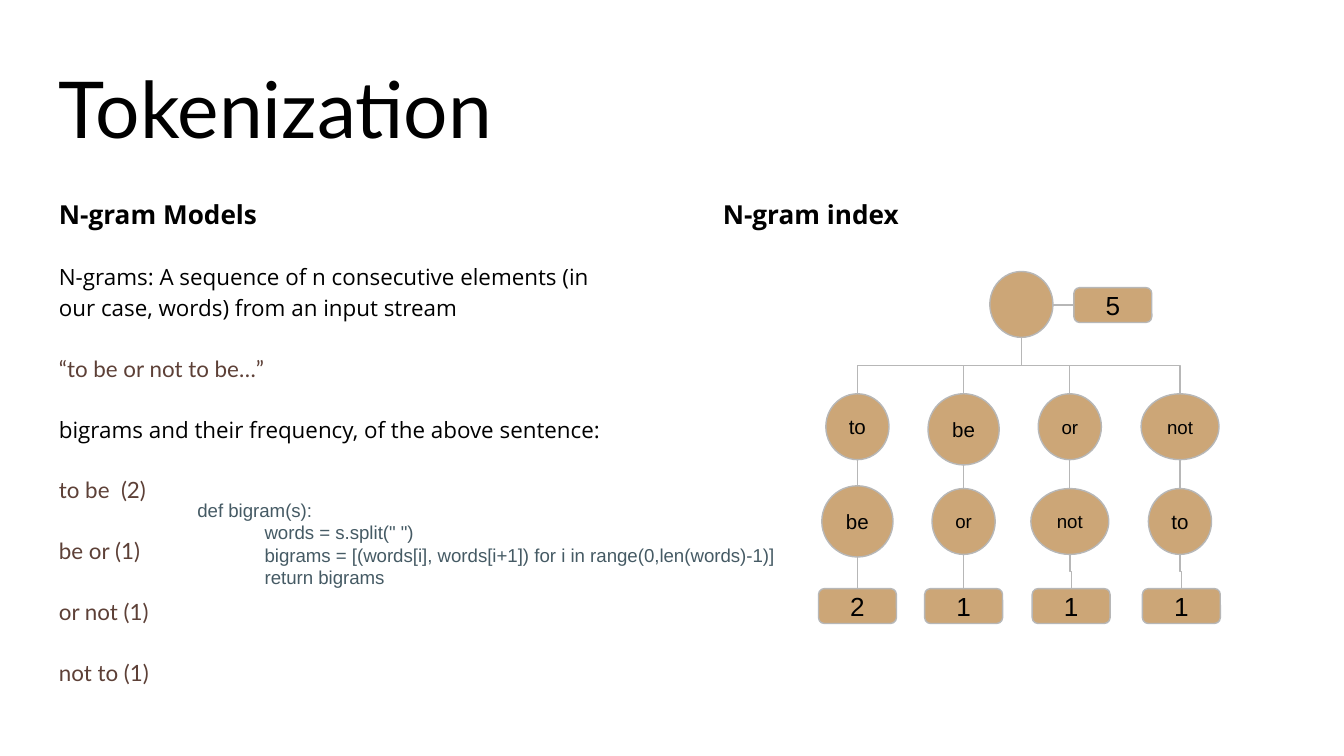
import pptx
import pptx.util
import pptx.dml.color
import pptx.enum.shapes
import pptx.enum.text
import pptx.oxml.ns
from lxml import etree

Inches = pptx.util.Inches
Pt = pptx.util.Pt
RGB = pptx.dml.color.RGBColor
Shape = pptx.enum.shapes.MSO_SHAPE
Link = pptx.enum.shapes.MSO_CONNECTOR
Anchor = pptx.enum.text.MSO_ANCHOR
Align = pptx.enum.text.PP_ALIGN

BLACK = RGB(0x00, 0x00, 0x00)
BROWN = RGB(0x5D, 0x40, 0x37)
SLATE = RGB(0x45, 0x5A, 0x64)
TAN = RGB(0xCC, 0xA6, 0x77)
GRAY = RGB(0xB7, 0xB7, 0xB7)

TITLE = dict(name="Lato", size=Pt(42), color=BLACK)
HEAD = dict(name="Open Sans", size=Pt(14), bold=True, color=BLACK)
BODY = dict(name="Open Sans", size=Pt(12), color=BLACK)
QUOTE = dict(name="Lato", size=Pt(12), color=BROWN)
CODE = dict(name="Arial", size=Pt(10), color=SLATE)
COUNT = dict(name="Arial", size=Pt(14), color=BLACK)


class Deck:
    """Holds the line style and the current slide."""

    edge = GRAY
    width = Pt(0.75)

    def __init__(self, wide):
        self.prs = pptx.Presentation()
        self.prs.slide_width = Inches(wide)
        self.prs.slide_height = Inches(wide * 9 / 16)
        self.slide = self.prs.slides.add_slide(self.prs.slide_layouts[6])

    def style(self, font, form):
        for key, val in form.items():
            if key == "color":
                font.color.rgb = val
            else:
                setattr(font, key, val)

    def frame(self, frame, anchor, wrap=True):
        frame.word_wrap = wrap
        frame.vertical_anchor = anchor
        for side in ("left", "top", "right", "bottom"):
            setattr(frame, "margin_" + side, Inches(0.1))

    def text(self, box, lines, anchor=Anchor.TOP, space=None, gap=0):
        """Each line is (words, format, first-line indent)."""
        frame = self.slide.shapes.add_textbox(*map(Inches, box)).text_frame
        self.frame(frame, anchor)
        for num, (words, form, indent) in enumerate(lines):
            para = frame.paragraphs[0] if num == 0 else frame.add_paragraph()
            para.text = words
            if indent:
                para._p.get_or_add_pPr().set("indent", str(Inches(indent)))
            if space:
                para.line_spacing = space
            if num and gap:
                para.space_before = Pt(gap)
            self.style(para.runs[0].font, form)

    def node(self, kind, mid, top, size, words="", form=COUNT):
        wide, high = size
        node = self.slide.shapes.add_shape(
            kind, Inches(mid - wide / 2), Inches(top), Inches(wide), Inches(high))
        node.shadow.inherit = False
        node.fill.solid()
        node.fill.fore_color.rgb = TAN
        node.line.color.rgb = self.edge
        node.line.width = self.width
        if words:
            self.frame(node.text_frame, Anchor.MIDDLE, wrap=False)
            para = node.text_frame.paragraphs[0]
            para.text = words
            para.alignment = Align.CENTER
            self.style(para.runs[0].font, form)
        return node

    def line(self, kind, start, end):
        line = self.slide.shapes.add_connector(kind, *map(Inches, start + end))
        line.line.color.rgb = self.edge
        line.line.width = self.width
        etree.SubElement(line._element.spPr, pptx.oxml.ns.qn("a:effectLst"))
        return line

    def branch(self, start, end):
        """Elbow that leaves downward: a sideways elbow, turned a quarter."""
        left = end[0] < start[0]
        x, y = (start[0] + end[0]) / 2, (start[1] + end[1]) / 2
        half = (end[1] - start[1]) / 2 * (1 if left else -1)
        rise = abs(end[0] - start[0]) / 2
        line = self.line(Link.ELBOW, (x - half, y - rise), (x + half, y + rise))
        turn = 90 if left else 270
        line._element.spPr.xfrm.set("rot", str(turn * 60000))

    def drop(self, start, end, node):
        """Straight down to the top of a node, or an elbow if it is offset."""
        if start[0] == end[0]:
            self.line(Link.STRAIGHT, start, end).end_connect(node, 0)
        else:
            self.branch(start, end)


def main():
    deck = Deck(10)

    # Title and headed text
    deck.text((0.34, 0.35, 9.32, 0.9), [("Tokenization", TITLE, 0)], Anchor.BOTTOM)
    deck.text((0.34, 1.34, 4.37, 3.67), [
        ("N-gram Models", HEAD, 0),
        ("N-grams: A sequence of n consecutive elements (in our case, words)"
         " from an input stream", BODY, 0),
        ("“to be or not to be…”", QUOTE, 0),
        ("bigrams and their frequency, of the above sentence:", BODY, 0),
        ("to be  (2)", QUOTE, 0),
        ("be or (1)", QUOTE, 0),
        ("or not (1)", QUOTE, 0),
        ("not to (1)", QUOTE, 0),
    ], space=1.15, gap=16)
    deck.text((5.28, 1.34, 4.37, 0.49), [("N-gram index", HEAD, 0)], space=1.15)

    # Root of the index with its total
    box = (0.58, 0.26)
    root = (7.6, 2.51)
    deck.node(Shape.OVAL, root[0], 2.02, (0.47, 0.49))
    total = deck.node(Shape.ROUNDED_RECTANGLE, 8.28, 2.14, box, "5")
    deck.line(Link.STRAIGHT, (7.83, 2.27), (7.99, 2.27)).end_connect(total, 1)

    # One column per bigram: middle, first word, second word, count, its middle
    sizes = {"to": (0.47, 0.49), "be": (0.53, 0.53),
             "or": (0.47, 0.49), "not": (0.58, 0.49)}
    points = {"to": 11, "be": 11, "or": 10, "not": 10}
    forms = {word: dict(COUNT, size=Pt(pt)) for word, pt in points.items()}
    grams = [(6.38, "to", "be", "2", 6.38), (7.17, "be", "or", "1", 7.17),
             (7.96, "or", "not", "1", 7.97), (8.78, "not", "to", "1", 8.79)]
    top, row, base = 2.93, 3.88, 4.38
    for mid, first, second, count, seat in grams:
        deck.branch(root, (mid, top))
        deck.node(Shape.OVAL, mid, top, sizes[first], first, forms[first])
        high = sizes[second][1]
        low = deck.node(Shape.OVAL, mid, row - high / 2, sizes[second],
                        second, forms[second])
        tally = deck.node(Shape.ROUNDED_RECTANGLE, seat, base, box, count)
        deck.drop((mid, top + sizes[first][1]), (mid, row - high / 2), low)
        deck.drop((mid, row + high / 2), (seat, base), tally)

    # Code
    deck.text((1.37, 3.25, 4.88, 1.59), [
        ("def bigram(s):", CODE, 0),
        ('words = s.split(" ")', CODE, 0.5),
        ("bigrams = [(words[i], words[i+1]) for i in range(0,len(words)-1)]", CODE, 0.5),
        ("return bigrams", CODE, 0.5),
    ], Anchor.MIDDLE)

    deck.prs.save("out.pptx")


if __name__ == "__main__":
    main()
